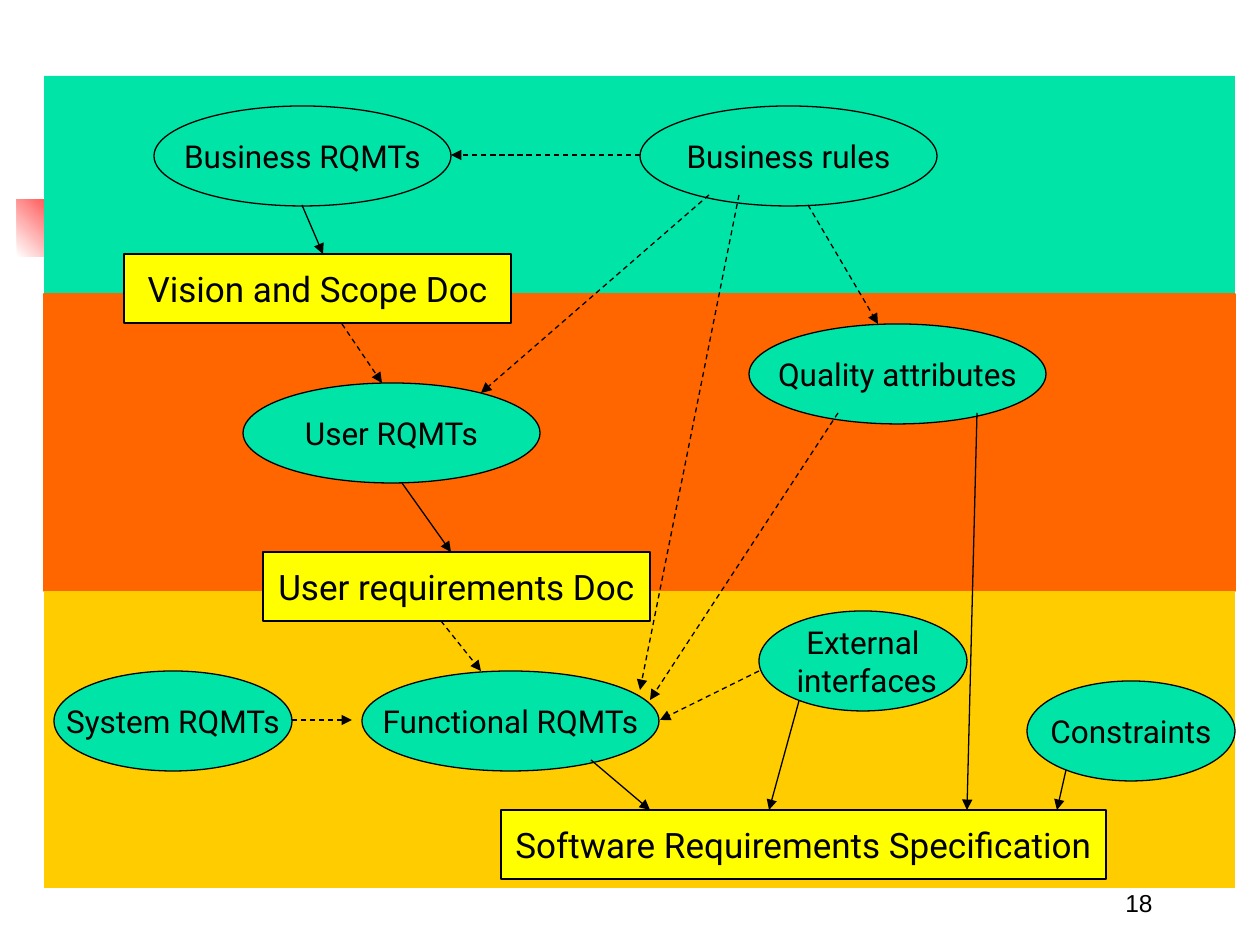
"""Build a slide mapping requirement types to the documents they feed."""
import lxml.etree
import pptx
import pptx.dml.color
import pptx.enum.dml
import pptx.enum.shapes
import pptx.enum.text
import pptx.oxml.ns
import pptx.util

SCALE = 914400 / 126
RECT = pptx.enum.shapes.MSO_SHAPE.RECTANGLE
OVAL = pptx.enum.shapes.MSO_SHAPE.OVAL
GREEN, ORANGE, AMBER, YELLOW, BLACK = "00E4A8", "FF6600", "FFCC00", "FFFF00", "000000"


def rgb(value):
    return pptx.dml.color.RGBColor.from_string(value)


def write(tf, text, size=18, font="Roboto", align="CENTER", anchor="MIDDLE", wrap=False):
    tf.word_wrap = wrap
    tf.vertical_anchor = getattr(pptx.enum.text.MSO_ANCHOR, anchor)
    tf.text = text
    for p in tf.paragraphs:
        p.alignment = getattr(pptx.enum.text.PP_ALIGN, align)
        for r in p.runs:
            r.font.size = pptx.util.Pt(size)
            r.font.name = font
            r.font.color.rgb = rgb(BLACK)


prs = pptx.Presentation()
prs.slide_width = round(1260 * SCALE)
prs.slide_height = round(945 * SCALE)
s = prs.slides.add_slide(prs.slide_layouts[6])

sp = s.shapes.add_shape(RECT, *[round(v * SCALE) for v in (17, 199, 77, 58)])
sp.shadow.inherit = False
sp.line.fill.background()
sp.fill.gradient()
sp.fill.gradient_angle = 45
for stop, color in zip(sp.fill.gradient_stops, ("FFFFFF", "FF0000")):
    stop.color.rgb = rgb(color)

bands = [
    (RECT, 44, 76, 1191, 218, GREEN, None, "", 18),
    (RECT, 44, 294, 1191, 297, ORANGE, ORANGE, "", 18),
    (RECT, 44, 591, 1191, 297, AMBER, None, "", 18),
]
topics = [
    (OVAL, x, y, w, 100, GREEN, BLACK, text, 18)
    for x, y, w, text in [
        (154, 106, 297, "Business RQMTs"),
        (640, 106, 297, "Business rules"),
        (243, 383, 297, "User RQMTs"),
        (749, 324, 297, "Quality attributes"),
        (362, 671, 297, "Functional RQMTs"),
        (54, 671, 238, "System RQMTs"),
        (759, 611, 208, "External\n interfaces"),
        (1027, 681, 208, "Constraints"),
    ]
]
documents = [
    (RECT, x, y, w, 69, YELLOW, BLACK, text, 20)
    for x, y, w, text in [
        (124, 254, 387, "Vision and Scope Doc"),
        (263, 552, 387, "User requirements Doc"),
        (501, 810, 605, "Software Requirements Specification"),
    ]
]
for kind, x, y, w, h, fill, line, text, size in bands + topics + documents:
    sp = s.shapes.add_shape(kind, *[round(v * SCALE) for v in (x, y, w, h)])
    sp.shadow.inherit = False
    sp.fill.solid()
    sp.fill.fore_color.rgb = rgb(fill)
    if line:
        sp.line.color.rgb = rgb(line)
        sp.line.width = pptx.util.Pt(0.75)
    else:
        sp.line.fill.background()
    if text:
        write(sp.text_frame, text, size=size)

solid_arrows = [
    (302, 205, 323, 254),
    (402, 483, 451, 552),
    (591, 760, 650, 810),
    (799, 701, 769, 810),
    (977, 413, 967, 810),
    (1066, 770, 1057, 810),
]
dashed_arrows = [
    (640, 155, 451, 155),
    (342, 324, 382, 383),
    (808, 205, 878, 324),
    (709, 195, 481, 393),
    (292, 720, 352, 720),
    (441, 621, 481, 671),
    (739, 195, 640, 690),
    (838, 413, 650, 700),
    (759, 671, 660, 720),
]
for ends in solid_arrows + dashed_arrows:
    cx = s.shapes.add_connector(
        pptx.enum.shapes.MSO_CONNECTOR.STRAIGHT, *[round(v * SCALE) for v in ends])
    cx.line.color.rgb = rgb(BLACK)
    cx.line.width = pptx.util.Pt(0.75)
    if ends in dashed_arrows:
        cx.line.dash_style = pptx.enum.dml.MSO_LINE.DASH
    pr = cx._element.spPr
    ln = pr.find(pptx.oxml.ns.qn("a:ln"))
    lxml.etree.SubElement(ln, pptx.oxml.ns.qn("a:tailEnd"), type="triangle")
    lxml.etree.SubElement(pr, pptx.oxml.ns.qn("a:effectLst"))

sp = s.shapes.add_textbox(*[round(v * SCALE) for v in (903, 861, 262, 63)])
write(sp.text_frame, "18", size=14, font="Arial", align="RIGHT", anchor="BOTTOM", wrap=True)

prs.save("out.pptx")
